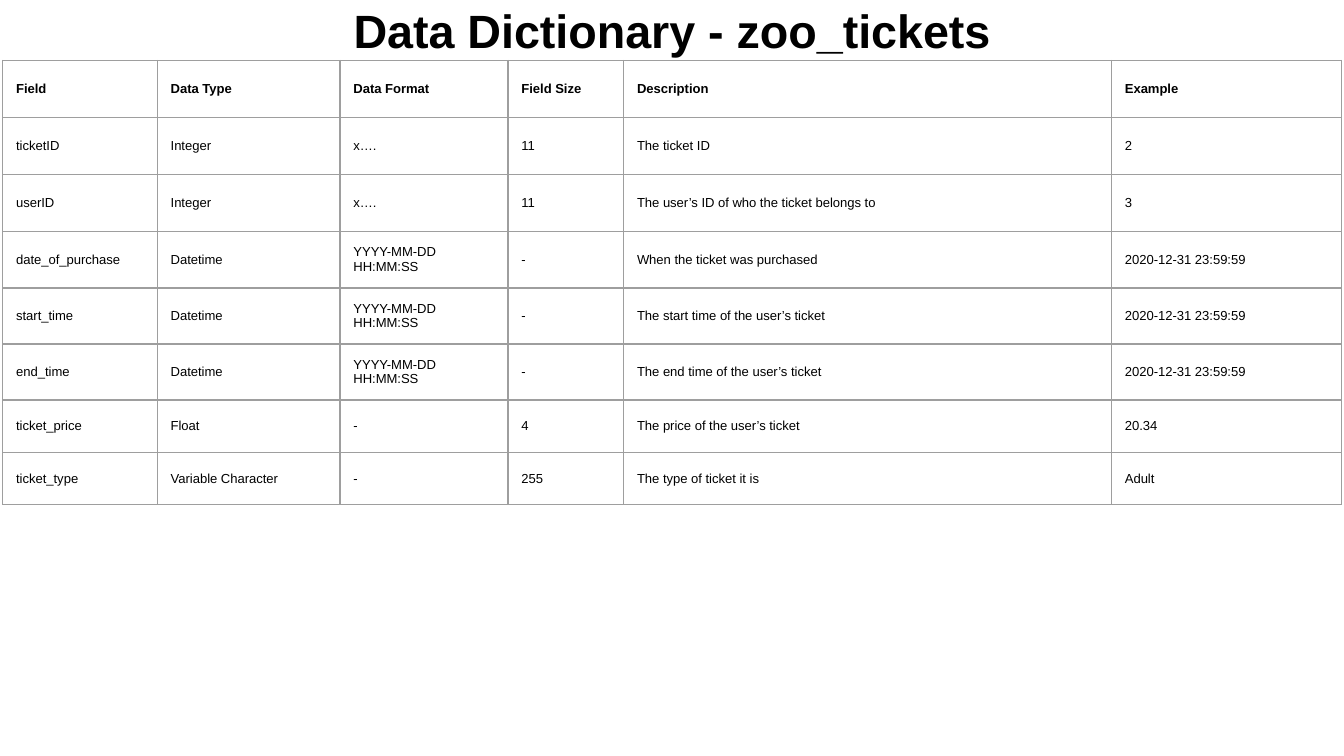
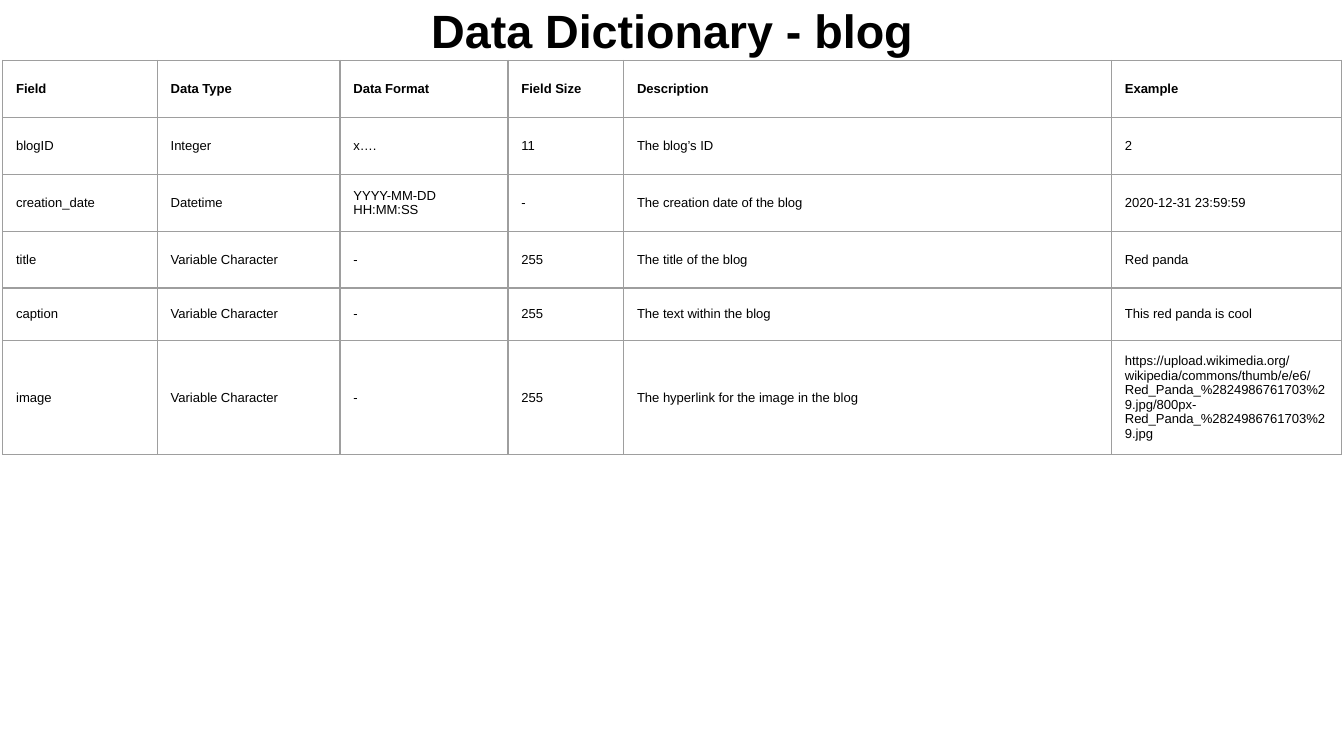
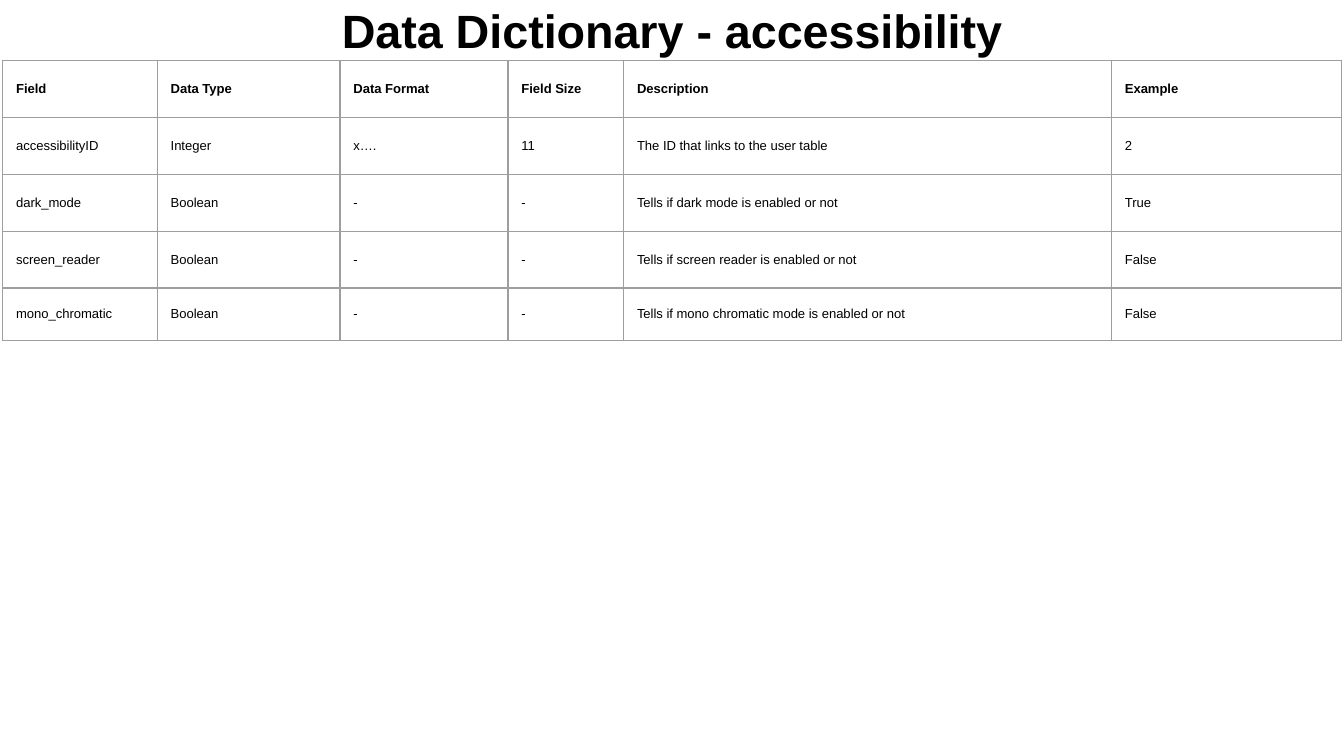
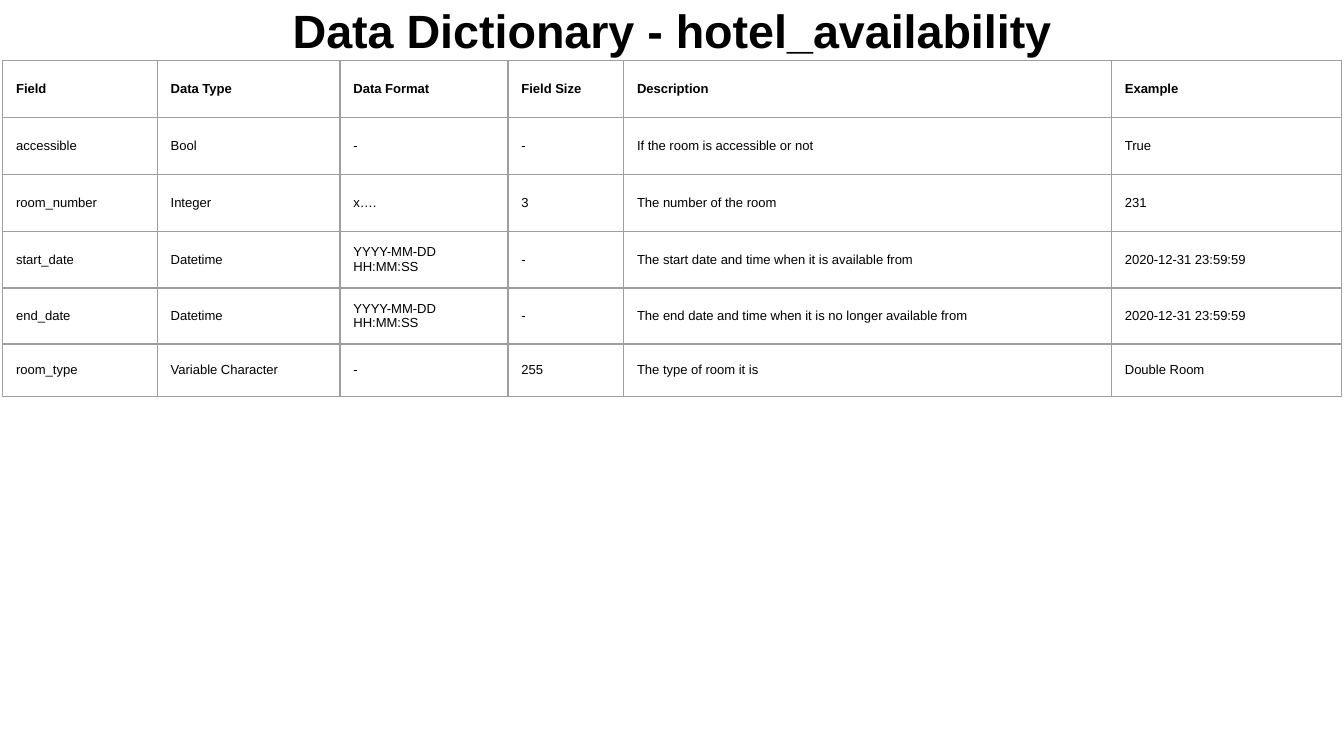
from pptx import Presentation, util as u
from pptx.dml.color import RGBColor
from pptx.enum import text
from pptx.oxml import parse_xml
from pptx.oxml.ns import nsdecls

WIDE = u.Inches(10)
HIGH = WIDE * 9 // 16
BLACK = RGBColor(0x00, 0x00, 0x00)
GREY = RGBColor(0x9E, 0x9E, 0x9E)
FACE = "Arial"
PAD = u.Inches(0.1)
TOP = u.Inches(0.45)
EDGE = u.Inches(0.02)
FRAME = u.Inches(3.28)
COLS = [u.Inches(w) for w in (1.15, 1.36, 1.25, 0.86, 3.63, 1.71)]
TALL, LOW = u.Pt(30.5), u.Inches(0.39)
TALL_ROWS = 4
LINE = u.Pt(0.75)

HEAD = ("Field", "Data Type", "Data Format", "Field Size", "Description", "Example")
CHARS = "Variable Character"
STAMP = "YYYY-MM-DD HH:MM:SS"
TIME = "2020-12-31 23:59:59"
PANDA = ("https://upload.wikimedia.org/wikipedia/commons/thumb/e/e6/"
         "Red_Panda_%2824986761703%29.jpg/800px-Red_Panda_%2824986761703%29.jpg")

TABLES = {
    "zoo_tickets": [
        ("ticketID", "Integer", "x….", "11", "The ticket ID", "2"),
        ("userID", "Integer", "x….", "11", "The user’s ID of who the ticket belongs to", "3"),
        ("date_of_purchase", "Datetime", STAMP, "-", "When the ticket was purchased", TIME),
        ("start_time", "Datetime", STAMP, "-", "The start time of the user’s ticket", TIME),
        ("end_time", "Datetime", STAMP, "-", "The end time of the user’s ticket", TIME),
        ("ticket_price", "Float", "-", "4", "The price of the user’s ticket", "20.34"),
        ("ticket_type", CHARS, "-", "255", "The type of ticket it is", "Adult"),
    ],
    "blog": [
        ("blogID", "Integer", "x….", "11", "The blog’s ID", "2"),
        ("creation_date", "Datetime", STAMP, "-", "The creation date of the blog", TIME),
        ("title", CHARS, "-", "255", "The title of the blog", "Red panda"),
        ("caption", CHARS, "-", "255", "The text within the blog", "This red panda is cool"),
        ("image", CHARS, "-", "255", "The hyperlink for the image in the blog", PANDA),
    ],
    "accessibility": [
        ("accessibilityID", "Integer", "x….", "11", "The ID that links to the user table", "2"),
        ("dark_mode", "Boolean", "-", "-", "Tells if dark mode is enabled or not", "True"),
        ("screen_reader", "Boolean", "-", "-", "Tells if screen reader is enabled or not", "False"),
        ("mono_chromatic", "Boolean", "-", "-",
         "Tells if mono chromatic mode is enabled or not", "False"),
    ],
    "hotel_availability": [
        ("accessible", "Bool", "-", "-", "If the room is accessible or not", "True"),
        ("room_number", "Integer", "x….", "3", "The number of the room", "231"),
        ("start_date", "Datetime", STAMP, "-",
         "The start date and time when it is available from", TIME),
        ("end_date", "Datetime", STAMP, "-",
         "The end date and time when it is no longer available from", TIME),
        ("room_type", CHARS, "-", "255", "The type of room it is", "Double Room"),
    ],
}


def style(para, size, bold):
    font = para.font
    font.name, font.size, font.bold = FACE, u.Pt(size), bold
    font.color.rgb = BLACK


def inset(box):
    box.margin_left = box.margin_right = box.margin_top = box.margin_bottom = PAD
    box.vertical_anchor = text.MSO_ANCHOR.MIDDLE


def add_title(slide, name):
    title = slide.shapes.title
    width = int(WIDE * 0.603)
    title.left, title.top = (WIDE - width) // 2, 0
    title.width, title.height = width, TOP
    frame = title.text_frame
    frame.text = f"Data Dictionary - {name}"
    frame.word_wrap = True
    frame.auto_size = text.MSO_AUTO_SIZE.NONE
    inset(frame)
    para = frame.paragraphs[0]
    para.alignment = text.PP_ALIGN.CENTER
    style(para, 25, True)


def rule(cell):
    props = cell._tc.get_or_add_tcPr()
    for side in "LRTB":
        props.append(parse_xml(
            f'<a:ln{side} {nsdecls("a")} w="{LINE}"><a:solidFill>'
            f'<a:srgbClr val="{GREY}"/></a:solidFill></a:ln{side}>'))
    cell.fill.background()


def add_fields(slide, fields):
    rows = [HEAD, *fields]
    sizes = [TALL if i < TALL_ROWS else LOW for i in range(len(rows))]
    frame = slide.shapes.add_table(len(rows), len(COLS), EDGE, TOP, FRAME, FRAME)
    table = frame.table
    table.first_row = table.horz_banding = False
    for col, width in zip(table.columns, COLS):
        col.width = width
    for row, height, words in zip(table.rows, sizes, rows):
        row.height = height
        for cell, word in zip(row.cells, words):
            cell.text = word
            inset(cell)
            rule(cell)
            style(cell.text_frame.paragraphs[0], 7, words is HEAD)
    frame.width = frame.height = FRAME


def main():
    deck = Presentation()
    deck.slide_width, deck.slide_height = WIDE, HIGH
    for name, fields in TABLES.items():
        slide = deck.slides.add_slide(deck.slide_layouts[5])
        add_title(slide, name)
        add_fields(slide, fields)
    deck.save("out.pptx")


if __name__ == "__main__":
    main()
